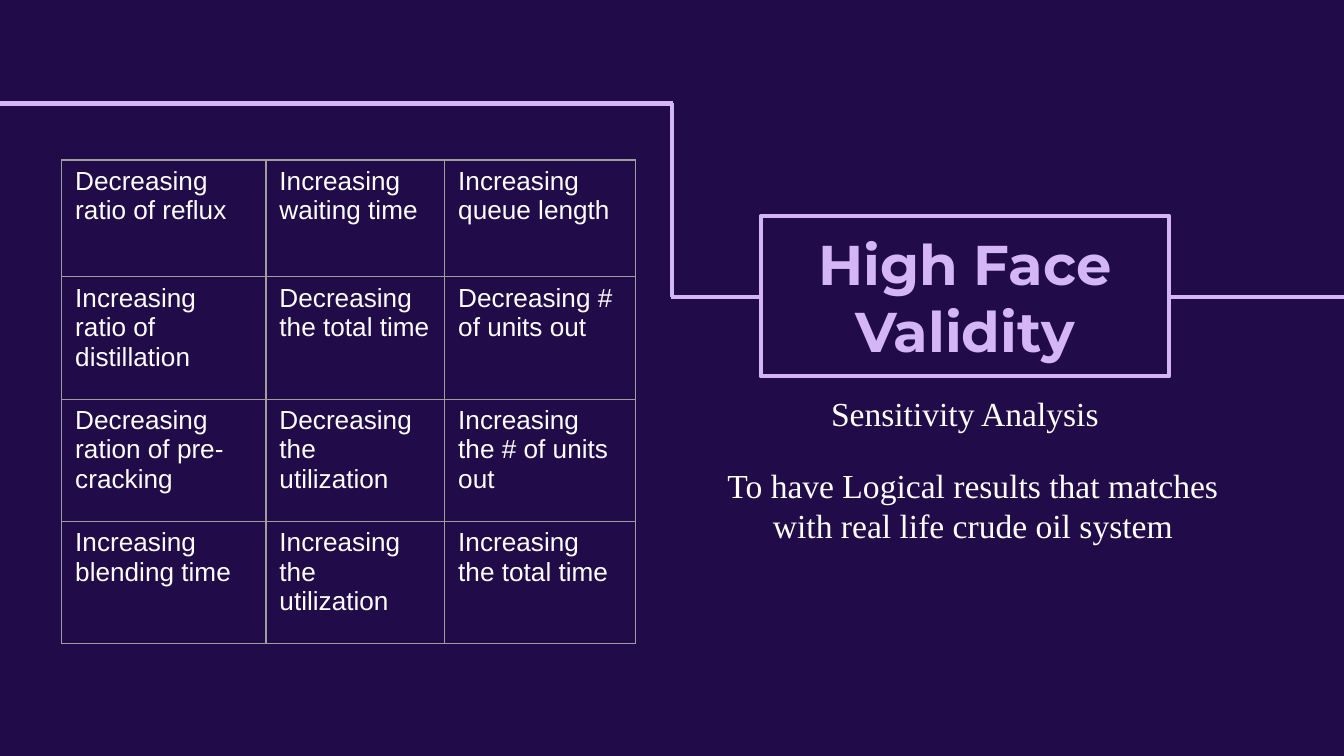
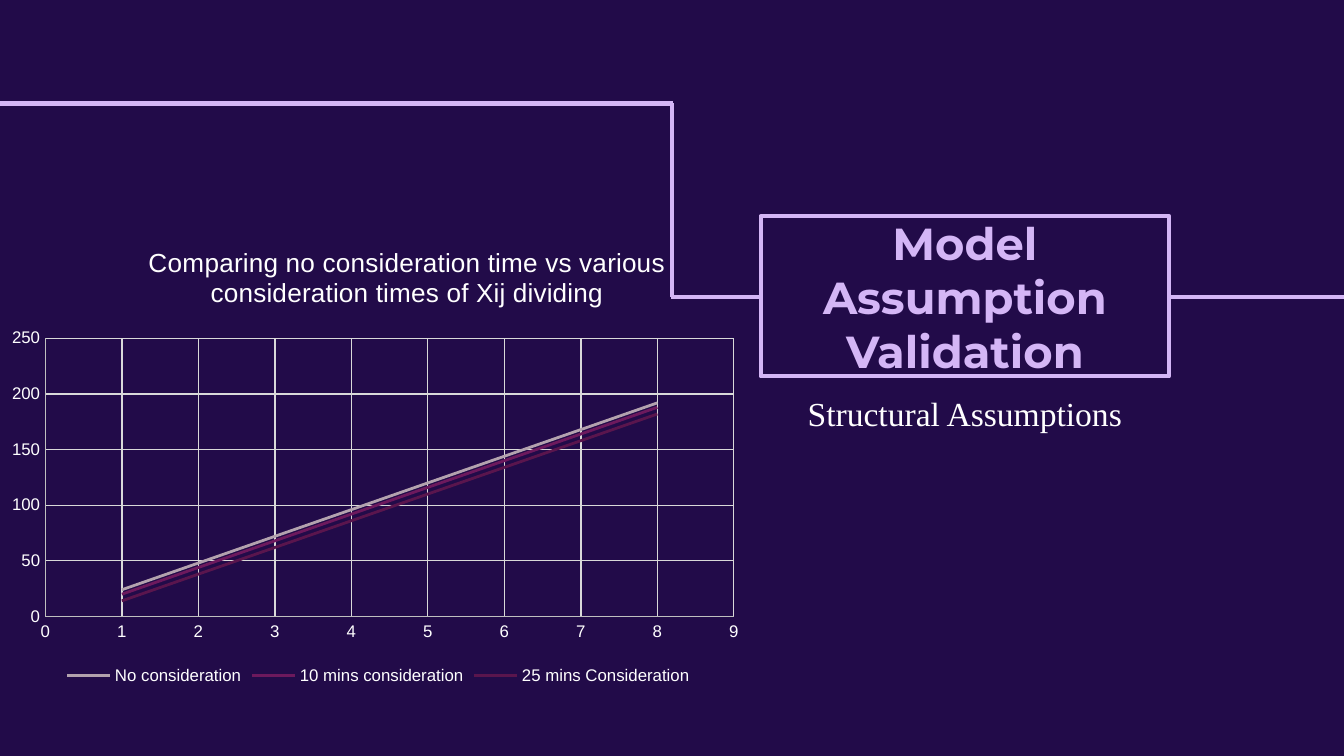
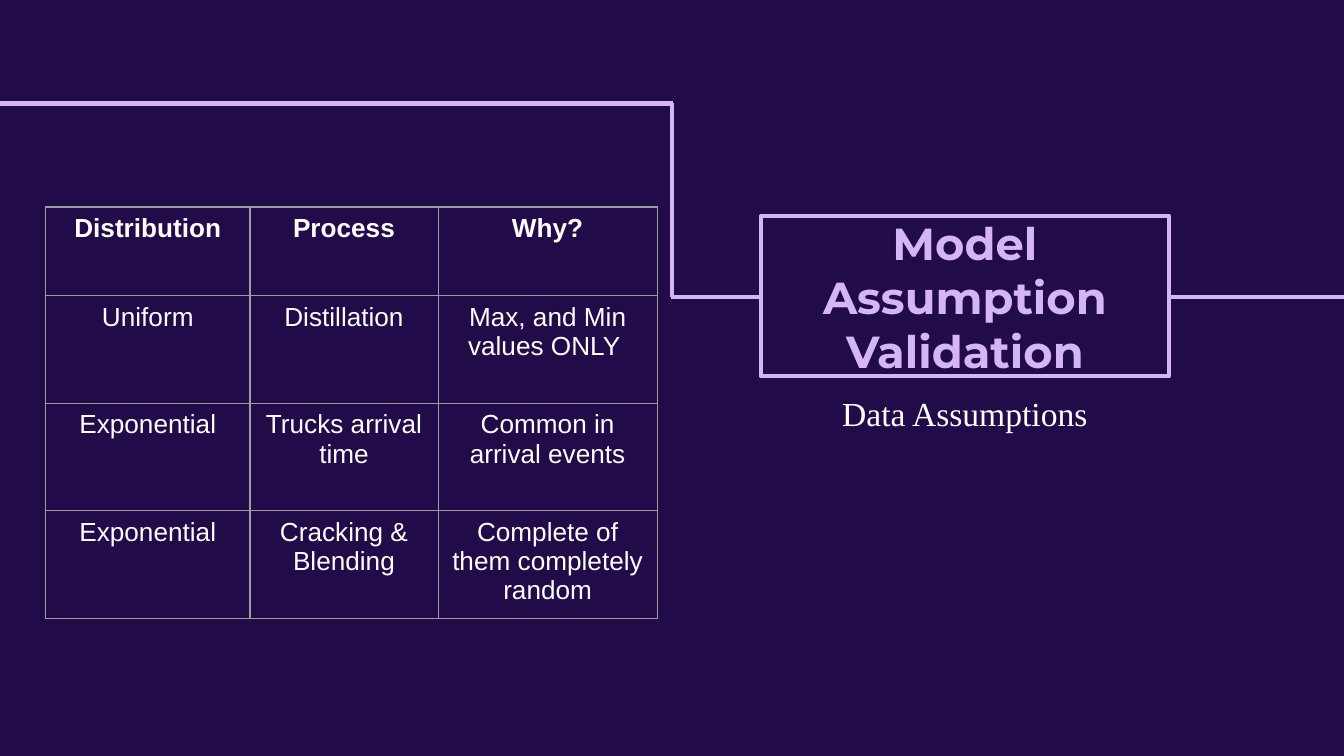
from lxml.etree import SubElement
from pptx import Presentation
from pptx.chart.data import XyChartData
from pptx.dml.color import RGBColor
from pptx.enum.chart import XL_CHART_TYPE, XL_LEGEND_POSITION, XL_TICK_MARK
from pptx.enum.shapes import MSO_CONNECTOR, MSO_SHAPE
from pptx.enum.text import MSO_ANCHOR, PP_ALIGN
from pptx.oxml import parse_xml
from pptx.oxml.ns import nsdecls, qn
from pptx.util import Inches, Pt

# Shared look
BACKGROUND, ACCENT, WHITE = "220B49", "D4B6F6", "FFFFFF"
BORDER, AXIS, GRID = "9E9E9E", "BFBFBF", "D9D9D9"
TITLE_FONT, TEXT_FONT, DATA_FONT = "Montserrat", "Times New Roman", "Arial"
BAND_LINES = [  # ends overlap a little to close the corners
    (10, 2.21, 4.99, 2.21),
    (5, 2.21, 5, 0.77),
    (5.01, 0.77, 0, 0.77),
]

# Slide 1: sensitivity analysis
FACE_VALIDITY_NOTE = "To have Logical results that matches with real life crude oil system"
SENSITIVITY_ROWS = [
    ("Decreasing ratio of reflux", "Increasing waiting time", "Increasing queue length"),
    ("Increasing ratio of distillation", "Decreasing the total time", "Decreasing # of units out"),
    ("Decreasing ration of pre-cracking", "Decreasing the utilization", "Increasing the # of units out"),
    ("Increasing blending time", "Increasing the utilization", "Increasing the total time"),
]

# Slide 2: structural assumptions
CHART_TITLE = "Comparing no consideration time vs various consideration times of Xij dividing"
STEP = 24
CONSIDERATION_SERIES = [  # name, first value, colour
    ("No consideration", 24, "B3A2AE"),
    ("10 mins consideration", 20, "6D195D"),
    ("25 mins Consideration", 14, "5A154D"),
]

# Slide 3: data assumptions
DISTRIBUTION_ROWS = [
    ("Distribution", "Process", "Why?"),
    ("Uniform", "Distillation", "Max, and Min values ONLY "),
    ("Exponential", "Trucks arrival time", "Common in arrival events"),
    ("Exponential", "Cracking & Blending", "Complete of them completely random"),
]


def color(value):
    return RGBColor.from_string(value)


def style_font(font, name, size, hex_color, bold=False):
    font.name, font.size, font.bold = name, Pt(size), bold
    font.color.rgb = color(hex_color)


def style_line(line, hex_color, width):
    line.color.rgb = color(hex_color)
    line.width = Pt(width)


def write(text_frame, text, name, size, hex_color, bold=False, align=PP_ALIGN.CENTER):
    text_frame.word_wrap = True
    paragraph = text_frame.paragraphs[0]
    paragraph.alignment = align
    run = paragraph.add_run()
    run.text = text
    style_font(run.font, name, size, hex_color, bold)


def add_text(slide, text, left, top, width, height, margin=0.05):
    text_frame = slide.shapes.add_textbox(*map(Inches, (left, top, width, height))).text_frame
    text_frame.margin_top = text_frame.margin_bottom = Inches(margin)
    write(text_frame, text, TEXT_FONT, 18, WHITE)


def add_slide(presentation, title, title_size, subtitle):
    slide = presentation.slides.add_slide(presentation.slide_layouts[6])
    slide.background.fill.solid()
    slide.background.fill.fore_color.rgb = color(BACKGROUND)

    # Stepped band behind the title
    for ends in BAND_LINES:
        connector = slide.shapes.add_connector(MSO_CONNECTOR.STRAIGHT, *map(Inches, ends))
        style_line(connector.line, ACCENT, 2.25)
        SubElement(connector._element.spPr, qn("a:effectLst"))

    # Subtitle and framed title
    add_text(slide, subtitle, 5.66, 2.82, 3.04, 0.71, margin=0.1)
    frame = slide.shapes.add_shape(
        MSO_SHAPE.RECTANGLE, *map(Inches, (5.66, 1.61, 3.04, 1.19)))
    frame.shadow.inherit = False
    frame.fill.solid()
    frame.fill.fore_color.rgb = color(BACKGROUND)
    style_line(frame.line, ACCENT, 2.25)
    text_frame = frame.text_frame
    text_frame.margin_top = text_frame.margin_bottom = Inches(0.1)
    text_frame.vertical_anchor = MSO_ANCHOR.MIDDLE
    write(text_frame, title, TITLE_FONT, title_size, ACCENT, bold=True)
    return slide


def add_borders(cell):
    properties = cell._tc.get_or_add_tcPr()
    for side in ("lnL", "lnR", "lnT", "lnB"):
        properties.append(parse_xml(
            f'<a:{side} {nsdecls("a")} w="{Pt(0.75)}"><a:solidFill>'
            f'<a:srgbClr val="{BORDER}"/></a:solidFill></a:{side}>'))


def add_grid(slide, rows, left, top, widths, heights, align, header=False):
    table = slide.shapes.add_table(
        len(rows), len(widths),
        *map(Inches, (left, top, sum(widths), sum(heights)))).table
    table.first_row = header
    table.horz_banding = False
    for column, width in zip(table.columns, widths):
        column.width = Inches(width)
    for row_index, (texts, height) in enumerate(zip(rows, heights)):
        table.rows[row_index].height = Inches(height)
        for column_index, text in enumerate(texts):
            cell = table.cell(row_index, column_index)
            add_borders(cell)
            cell.fill.background()
            write(cell.text_frame, text, DATA_FONT, 14, WHITE,
                  bold=header and row_index == 0, align=align)


def set_layout(element, index, **values):
    """Fix the place of a chart part, in fractions of the chart."""
    for layout in element.findall(qn("c:layout")):
        element.remove(layout)
    layout = parse_xml(f'<c:layout {nsdecls("c")}><c:manualLayout/></c:layout>')
    for tag, value in values.items():
        SubElement(layout[0], qn(f"c:{tag}")).set("val", str(value))
    element.insert(index, layout)


def add_consideration_chart(slide):
    data = XyChartData()
    for name, first, _ in CONSIDERATION_SERIES:
        series = data.add_series(name)
        for x in range(1, 9):
            series.add_data_point(x, first + STEP * (x - 1))
    chart = slide.shapes.add_chart(
        XL_CHART_TYPE.XY_SCATTER_SMOOTH_NO_MARKERS,
        *map(Inches, (0, 1.69, 5.63, 3.45)), data).chart
    style_font(chart.font, DATA_FONT, 10, WHITE)

    # Series
    plot = chart.plots[0]
    plot.vary_by_categories = False
    for series, (_, _, line_color) in zip(plot.series, CONSIDERATION_SERIES):
        style_line(series.format.line, line_color, 1.5)
        series.smooth = True

    # Axes
    for axis, maximum, unit in ((chart.category_axis, 9, 1), (chart.value_axis, 250, 50)):
        axis.minimum_scale, axis.maximum_scale, axis.major_unit = 0, maximum, unit
        axis.major_tick_mark = axis.minor_tick_mark = XL_TICK_MARK.NONE
        axis.has_major_gridlines = True
        style_line(axis.major_gridlines.format.line, GRID, 0.75)
        style_line(axis.format.line, AXIS, 0.75)
        style_font(axis.tick_labels.font, DATA_FONT, 9, WHITE)

    # Title and legend
    chart.has_title = True
    write(chart.chart_title.text_frame, CHART_TITLE, DATA_FONT, 14, WHITE)
    chart.has_legend = True
    chart.legend.position = XL_LEGEND_POSITION.BOTTOM
    chart.legend.include_in_layout = False
    style_font(chart.legend.font, DATA_FONT, 9, WHITE)

    set_layout(chart.chart_title._element, 1, xMode="edge", yMode="edge", x=0.19, y=0.03)
    set_layout(chart._chartSpace.chart.plotArea, 0, layoutTarget="inner",
               xMode="edge", yMode="edge", x=0.06, y=0.24, w=0.91, h=0.6)


def main():
    presentation = Presentation()
    presentation.slide_width = Inches(10)
    presentation.slide_height = presentation.slide_width * 9 // 16

    slide = add_slide(presentation, "High Face Validity", 30, "Sensitivity Analysis")
    add_text(slide, FACE_VALIDITY_NOTE, 5.2, 3.41, 4.08, 0.71)
    add_grid(slide, SENSITIVITY_ROWS, 0.46, 1.19, (1.52, 1.33, 1.42),
             [0.87] + [0.91] * 3, PP_ALIGN.LEFT)

    slide = add_slide(presentation, "Model Assumption Validation", 24, "Structural Assumptions")
    add_consideration_chart(slide)

    slide = add_slide(presentation, "Model Assumption Validation", 24, "Data Assumptions")
    add_grid(slide, DISTRIBUTION_ROWS, 0.34, 1.54, (1.52, 1.4, 1.63),
             [0.66] + [0.8] * 3, PP_ALIGN.CENTER, header=True)

    presentation.save("out.pptx")


if __name__ == "__main__":
    main()
